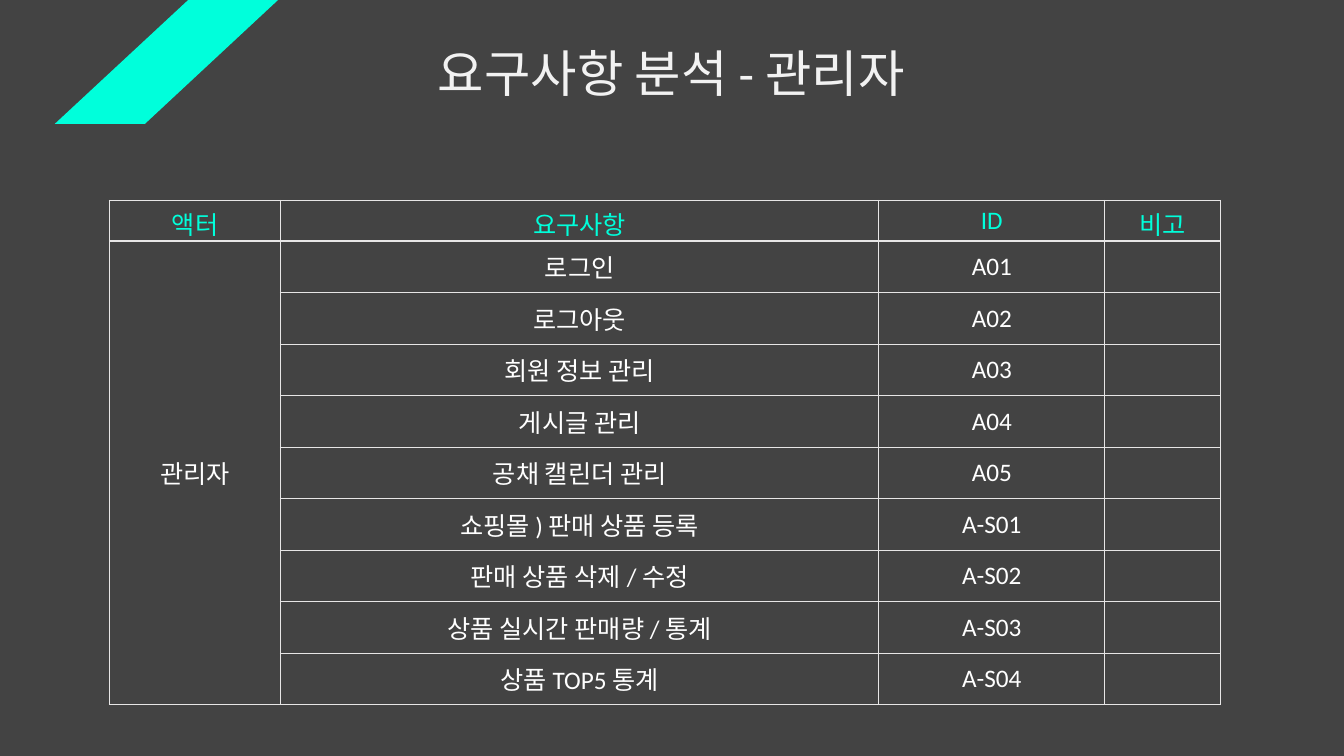
from lxml.etree import SubElement
from pptx import Presentation
from pptx.dml.color import RGBColor
from pptx.enum.text import MSO_ANCHOR, PP_ALIGN
from pptx.oxml.ns import qn
from pptx.util import Pt

DARK, MINT, LINE = "434343", "00FFDB", "E7E6E6"


def paint(fill, color):
    fill.solid()
    fill.fore_color.rgb = RGBColor.from_string(color)


def write(frame, text, size, color):
    para = frame.paragraphs[0]
    para.text = text
    para.alignment = PP_ALIGN.CENTER
    style = {"name": "Calibri", "size": Pt(size), "bold": False}
    for key, value in style.items():
        setattr(para.font, key, value)
    paint(para.font.fill, color)


deck = Presentation()
deck.slide_width, deck.slide_height = Pt(960), Pt(540)
slide = deck.slides.add_slide(deck.slide_layouts[6])
paint(slide.background.fill, DARK)

# Title
title = slide.shapes.add_textbox(Pt(82.8), Pt(26.6), Pt(793.4), Pt(51))
title.text_frame.word_wrap = True
write(title.text_frame, "요구사항 분석 - 관리자", 36, "F2F2F2")

# Requirements table
rows = [
    ("액터", "요구사항", "ID", "비고"),
    ("관리자", "로그인", "A01", ""),
    ("", "로그아웃", "A02", ""),
    ("", "회원 정보 관리", "A03", ""),
    ("", "게시글 관리", "A04", ""),
    ("", "공채 캘린더 관리", "A05", ""),
    ("", "쇼핑몰 ) 판매 상품 등록", "A-S01", ""),
    ("", "판매 상품 삭제 / 수정", "A-S02", ""),
    ("", "상품 실시간 판매량 / 통계", "A-S03", ""),
    ("", "상품 TOP5 통계", "A-S04", ""),
]
widths = [122.2, 427.4, 161.4, 82.9]
head, body, shop = 29, 36.8, 6
high = head + body * (len(rows) - 1)
grid = slide.shapes.add_table(len(rows), len(widths), Pt(78.2), Pt(143.2),
                              Pt(sum(widths)), Pt(high)).table
for flag in ("first_row", "horz_banding"):
    setattr(grid, flag, False)
for col, width in zip(grid.columns, widths):
    col.width = Pt(width)

for r, row in enumerate(rows):
    grid.rows[r].height = Pt(body if r else head)
    for c, text in enumerate(row):
        cell = grid.cell(r, c)
        cell.vertical_anchor = MSO_ANCHOR.MIDDLE
        props = cell._tc.get_or_add_tcPr()
        for side in ("L", "R", "T", "B"):
            # Shop requirements have thinner lines
            thin = (c == 1 and r >= shop or c == 2 and r >= shop and side == "L"
                    or c == 1 and r == shop - 1 and side == "B")
            edge = SubElement(props, qn(f"a:ln{side}"), w=str(Pt(0.75 if thin else 1)))
            SubElement(SubElement(edge, qn("a:solidFill")), qn("a:srgbClr"), val=LINE)
        paint(cell.fill, DARK)
        write(cell.text_frame, text, 18, "FFFFFF" if r else MINT)
grid.cell(1, 0).merge(grid.cell(len(rows) - 1, 0))

# Corner stripe
pen = slide.shapes.build_freeform(Pt(198.6), Pt(0))
pen.add_line_segments([(Pt(134.4), Pt(0)), (Pt(39.2), Pt(88.4)), (Pt(103.6), Pt(88.4))])
stripe = pen.convert_to_shape()
stripe.shadow.inherit = False
paint(stripe.fill, MINT)
stripe.line.fill.background()

deck.save("out.pptx")
